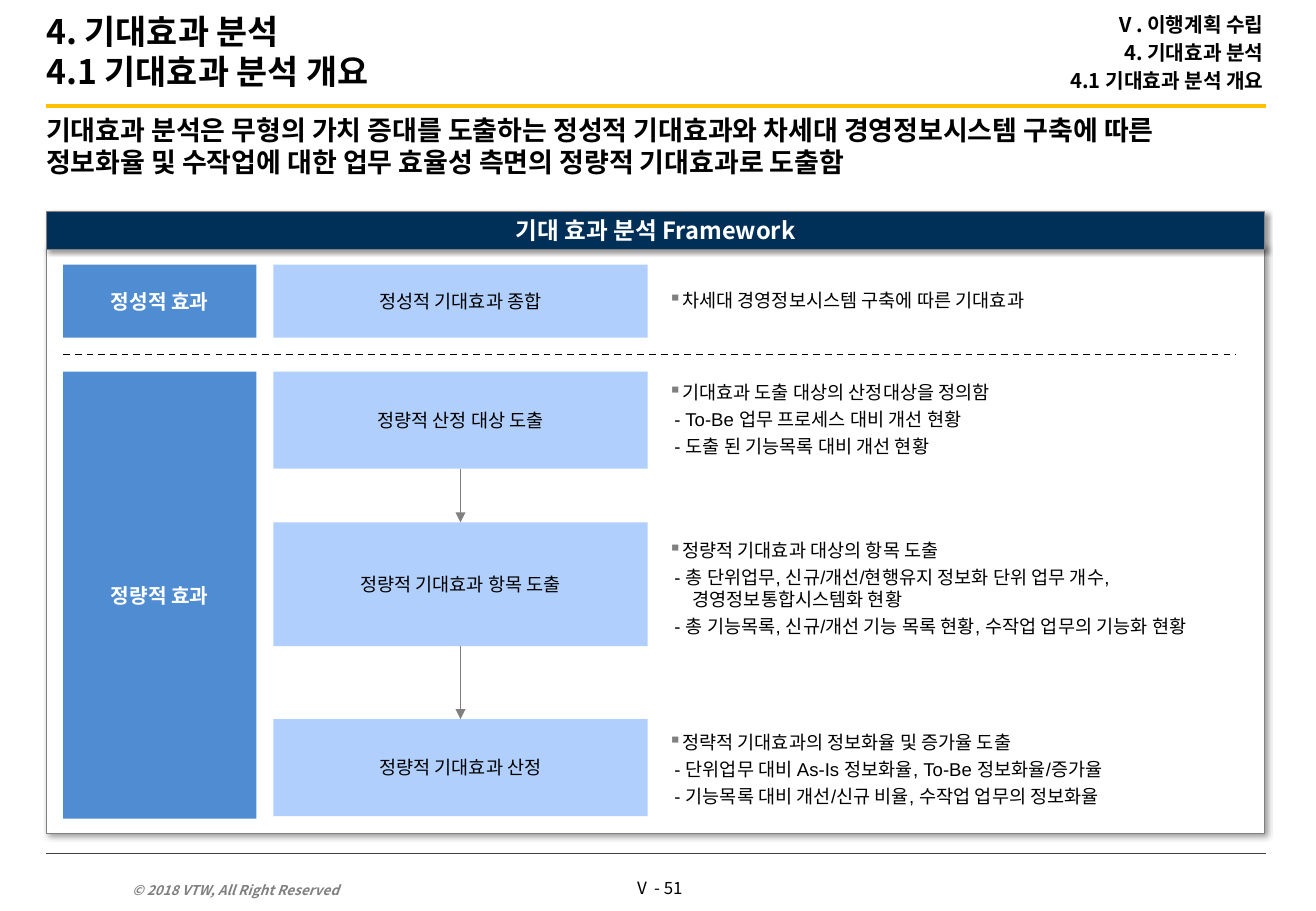
from dataclasses import dataclass
from itertools import pairwise

from lxml.etree import SubElement
from pptx import Presentation
from pptx.dml.color import RGBColor
from pptx.enum.dml import MSO_LINE_DASH_STYLE as Dash
from pptx.enum.shapes import MSO_CONNECTOR, MSO_SHAPE
from pptx.enum.text import MSO_ANCHOR as Anchor, PP_ALIGN as Align
from pptx.oxml.ns import qn
from pptx.util import Inches, Pt

BLACK = RGBColor(0x00, 0x00, 0x00)
WHITE = RGBColor(0xFF, 0xFF, 0xFF)
GRAY = RGBColor(0x80, 0x80, 0x80)
DARK_GRAY = RGBColor(0x40, 0x40, 0x40)
GOLD = RGBColor(0xFF, 0xC0, 0x00)
NAVY = RGBColor(0x00, 0x30, 0x58)
BLUE = RGBColor(0x50, 0x8C, 0xD2)
LIGHT_BLUE = RGBColor(0xB1, 0xCF, 0xFC)

SANS = "Noto Sans CJK KR"
ARIAL = "Arial"
LINE_HEIGHT = 1.185

LEFT, RIGHT = 0.38, 10.42
CATEGORY_LEFT, CATEGORY_WIDTH = 0.52, 1.59
STEP_LEFT, STEP_WIDTH = 2.25, 3.08
DETAIL_LEFT, DETAIL_WIDTH = 5.46, 4.76


@dataclass(frozen=True)
class Style:
    size: float
    font: str = SANS
    color: RGBColor = BLACK
    bold: bool = False
    italic: bool = False
    align: Align = Align.LEFT
    anchor: Anchor = Anchor.MIDDLE
    space: float = 0
    insets: tuple = (0.1, 0.05, 0.1, 0.05)


@dataclass(frozen=True)
class Box:
    left: float
    top: float
    width: float
    height: float

    def lengths(self) -> list:
        return [Inches(n) for n in (self.left, self.top, self.width, self.height)]


@dataclass(frozen=True)
class Category:
    label: str
    top: float
    height: float


@dataclass(frozen=True)
class Step:
    label: str
    top: float
    height: float
    detail_top: float
    detail_height: float
    heading: str
    items: tuple = ()


TIGHT = (0.04, 0.04, 0.04, 0.04)
TITLE = Style(20, bold=True, insets=(0, 0.05, 0.1, 0.05))
TRAIL = Style(12, bold=True, align=Align.RIGHT, space=2.4, insets=(0, 0.05, 0, 0.05))
OVERVIEW = Style(16, bold=True, anchor=Anchor.TOP, insets=(0, 0, 0.3, 0))
BANNER = Style(14, color=WHITE, bold=True, align=Align.CENTER)
CATEGORY = Style(12, ARIAL, WHITE, bold=True, align=Align.CENTER)
STEP = Style(11, ARIAL, align=Align.CENTER, insets=TIGHT)
DETAIL = Style(11, ARIAL, space=3, insets=TIGHT)
COPYRIGHT = Style(8, color=GRAY, bold=True, italic=True, anchor=Anchor.BOTTOM)
PAGE = Style(10, align=Align.CENTER, anchor=Anchor.TOP, insets=(0.06, 0.05, 0.06, 0.05))

CATEGORIES = (
    Category("정성적 효과", 2.18, 0.6),
    Category("정량적 효과", 3.06, 3.68),
)
QUALITATIVE = Step("정성적 기대효과 종합", 2.18, 0.6, 2.22, 0.51,
                   "차세대 경영정보시스템 구축에 따른 기대효과")
QUANTITATIVE = (
    Step("정량적 산정 대상 도출", 3.06, 0.8, 3.17, 0.56,
         "기대효과 도출 대상의 산정대상을 정의함",
         ("- To-Be 업무 프로세스 대비 개선 현황",
          "- 도출 된 기능목록 대비 개선 현황")),
    Step("정량적 기대효과 항목 도출", 4.3, 1.02, 4.54, 0.6,
         "정량적 기대효과 대상의 항목 도출",
         ("- 총 단위업무, 신규/개선/현행유지 정보화 단위 업무 개수, 경영정보통합시스템화 현황",
          "- 총 기능목록, 신규/개선 기능 목록 현황, 수작업 업무의 기능화 현황")),
    Step("정량적 기대효과 산정", 5.92, 0.8, 6.03, 0.6,
         "정략적 기대효과의 정보화율 및 증가율 도출",
         ("- 단위업무 대비 As-Is 정보화율, To-Be 정보화율/증가율",
          "- 기능목록 대비 개선/신규 비율, 수작업 업무의 정보화율")),
)


def add_run(paragraph, text: str, style: Style) -> None:
    run = paragraph.add_run()
    run.text = text
    font = run.font
    font.name, font.size = style.font, Pt(style.size)
    font.bold, font.italic = style.bold, style.italic
    font.color.rgb = style.color
    east_asian = SubElement(run._r.get_or_add_rPr(), qn("a:ea"))
    east_asian.set("typeface", SANS)


def write(shape, lines: tuple, style: Style) -> list:
    frame = shape.text_frame
    frame.word_wrap = True
    frame.vertical_anchor = style.anchor
    (frame.margin_left, frame.margin_top,
     frame.margin_right, frame.margin_bottom) = [Inches(n) for n in style.insets]
    for index, line in enumerate(lines):
        paragraph = frame.add_paragraph() if index else frame.paragraphs[0]
        paragraph.alignment = style.align
        paragraph.line_spacing = Pt(round(style.size * LINE_HEIGHT, 1))
        paragraph.space_before = Pt(style.space if index else 0)
        for part_index, part in enumerate(line.split("\n")):
            if part_index:
                paragraph.add_line_break()
            add_run(paragraph, part, style)
    return list(frame.paragraphs)


def add_text(slide, box: Box, lines: tuple, style: Style) -> list:
    return write(slide.shapes.add_textbox(*box.lengths()), lines, style)


def add_rectangle(slide, box: Box, fill: RGBColor, outlined: bool = False):
    shape = slide.shapes.add_shape(MSO_SHAPE.RECTANGLE, *box.lengths())
    shape.shadow.inherit = False
    shape.fill.solid()
    shape.fill.fore_color.rgb = fill
    if outlined:
        shape.line.color.rgb = GRAY
        shape.line.width = Pt(0.5)
        add_shadow(shape)
    else:
        shape.line.fill.background()
    return shape


def add_shadow(shape) -> None:
    effects = shape._element.spPr.find(qn("a:effectLst"))
    shadow = SubElement(effects, qn("a:outerShdw"), blurRad=str(Pt(3)), dist=str(Pt(2)),
                        dir="2700000", algn="tl", rotWithShape="0")
    color = SubElement(shadow, qn("a:srgbClr"), val=str(BLACK))
    SubElement(color, qn("a:alpha"), val="40000")


def add_line(slide, start: tuple, end: tuple, color: RGBColor, width: float):
    line = slide.shapes.add_connector(
        MSO_CONNECTOR.STRAIGHT, *[Inches(n) for n in (*start, *end)])
    line.line.color.rgb = color
    line.line.width = Pt(width)
    SubElement(line._element.spPr, qn("a:effectLst"))
    return line


def add_arrow(slide, start: tuple, end: tuple) -> None:
    arrow = add_line(slide, start, end, GRAY, 0.5)
    SubElement(arrow.line._get_or_add_ln(), qn("a:tailEnd"), type="triangle")


def indent(paragraph, margin: float, hanging: float):
    properties = paragraph._p.get_or_add_pPr()
    properties.set("marL", str(Inches(margin)))
    properties.set("indent", str(-Inches(hanging)))
    return properties


def add_step(slide, step: Step) -> None:
    box = Box(STEP_LEFT, step.top, STEP_WIDTH, step.height)
    write(add_rectangle(slide, box, LIGHT_BLUE), (step.label,), STEP)
    detail = Box(DETAIL_LEFT, step.detail_top, DETAIL_WIDTH, step.detail_height)
    heading, *items = add_text(slide, detail, (step.heading, *step.items), DETAIL)
    properties = indent(heading, 0.09, 0.09)
    bullet_color = SubElement(properties, qn("a:buClr"))
    SubElement(bullet_color, qn("a:srgbClr"), val=str(GRAY))
    SubElement(properties, qn("a:buChar"), char="▪")
    for item in items:
        indent(item, 0.2, 0.15)


def main() -> None:
    presentation = Presentation()
    presentation.slide_width, presentation.slide_height = Inches(10.83), Inches(7.5)
    slide = presentation.slides.add_slide(presentation.slide_layouts[5])

    # Header
    title = slide.shapes.title
    title.left, title.top, title.width, title.height = Box(LEFT, 0, 7.87, 0.85).lengths()
    write(title, ("4. 기대효과 분석\n4.1 기대효과 분석 개요",), TITLE)
    add_text(slide, Box(4.94, 0, 5.46, 0.86),
             ("Ⅴ. 이행계획 수립", "4. 기대효과 분석", "4.1 기대효과 분석 개요"), TRAIL)
    add_line(slide, (LEFT, 0.87), (RIGHT, 0.87), GOLD, 2.5)
    add_text(slide, Box(LEFT, 0.94, 10.04, 0.68),
             ("기대효과 분석은 무형의 가치 증대를 도출하는 정성적 기대효과와 차세대 경영정보시스템 구축에 따른 "
              "정보화율 및 수작업에 대한 업무 효율성 측면의 정량적 기대효과로 도출함",), OVERVIEW)

    # Framework panel
    add_rectangle(slide, Box(LEFT, 2.02, 10.03, 4.84), WHITE, outlined=True)
    banner = add_rectangle(slide, Box(LEFT, 1.74, 10.03, 0.31), NAVY, outlined=True)
    write(banner, ("기대 효과 분석 Framework",), BANNER)
    divider = add_line(slide, (CATEGORY_LEFT, 2.92), (10.17, 2.92), BLACK, 1)
    divider.line.dash_style = Dash.DASH

    # Categories, steps and the arrows between steps
    for category in CATEGORIES:
        box = Box(CATEGORY_LEFT, category.top, CATEGORY_WIDTH, category.height)
        write(add_rectangle(slide, box, BLUE), (category.label,), CATEGORY)
    for step in (QUALITATIVE, *QUANTITATIVE):
        add_step(slide, step)
    center = STEP_LEFT + STEP_WIDTH / 2
    for upper, lower in pairwise(QUANTITATIVE):
        add_arrow(slide, (center, upper.top + upper.height), (center, lower.top))

    # Footer
    add_line(slide, (LEFT, 7.03), (RIGHT, 7.03), DARK_GRAY, 0.5)
    add_text(slide, Box(0.99, 7.17, 2.37, 0.27),
             ("© 2018 VTW, All Right Reserved",), COPYRIGHT)
    add_text(slide, Box(5.12, 7.18, 0.59, 0.27), ("Ⅴ - 51",), PAGE)

    presentation.save("out.pptx")


if __name__ == "__main__":
    main()
